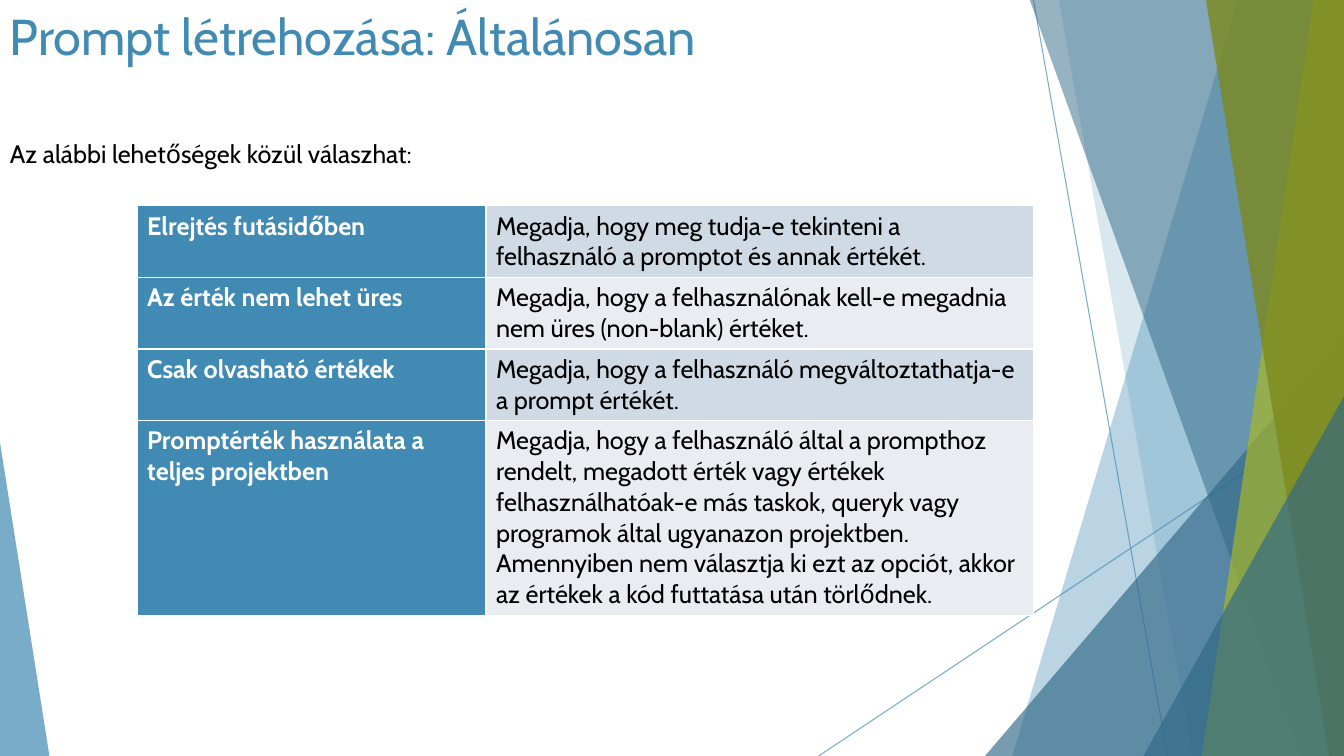
from dataclasses import dataclass

import lxml.etree
import pptx
import pptx.dml.color
import pptx.enum.shapes
import pptx.enum.text
import pptx.oxml.ns
import pptx.util

Inches = pptx.util.Inches
Pt = pptx.util.Pt
qn = pptx.oxml.ns.qn

WIDTH, HEIGHT = 13.33, 7.5
TOP = -0.01
HUES = {
    "blue": "418AB3", "navy": "316886", "lime": "A6B727", "olive": "7D891D",
    "dark": "CFDAE5", "pale": "E9EDF2", "white": "FFFFFF", "black": "000000",
}


@dataclass
class Ray:
    start: tuple[float, float]
    end: tuple[float, float]
    hue: str
    alpha: int


@dataclass
class Band:
    top: float
    base: float
    hue: str
    alpha: int


@dataclass
class Wedge:
    left: float
    top: float
    width: float
    peak: float
    hue: str
    alpha: int


@dataclass
class Label:
    text: str
    box: tuple[float, float, float, float]
    size: int
    hue: str
    before: int


@dataclass
class Row:
    name: str
    note: str
    height: float


DECOR = [
    Ray((10.25, 0), (11.58, HEIGHT), "blue", 70),
    Ray((WIDTH, 4.03), (8.12, HEIGHT), "blue", 70),
    Band(12.28, 10.04, "blue", 36),
    Band(10.5, 11.83, "blue", 20),
    Wedge(9.77, 3.33, 3.56, 1, "navy", 66),
    Band(10.21, 12.91, "navy", 50),
    Band(13.03, 11.92, "lime", 70),
    Band(11.96, 13.18, "olive", 80),
    Wedge(11.34, 3.93, 1.99, 1, "navy", 66),
    Wedge(0, 4.39, 0.49, 0, "blue", 70),
]
LABELS = [
    Label("Prompt létrehozása: Általánosan", (0, 0, 9.4, 1.44), 36, "blue", 0),
    Label("Az alábbi lehetőségek közül válaszhat:", (0, 1.32, 10.96, 0.59), 18, "black", 10),
]
ROWS = [
    Row("Elrejtés futásidőben",
        "Megadja, hogy meg tudja-e tekinteni a felhasználó a promptot és annak értékét.", 0.71),
    Row("Az érték nem lehet üres",
        "Megadja, hogy a felhasználónak kell-e megadnia nem üres (non-blank) értéket.", 0.71),
    Row("Csak olvasható értékek",
        "Megadja, hogy a felhasználó megváltoztathatja-e a prompt értékét.", 0.71),
    Row("Promptérték használata a teljes projektben",
        "Megadja, hogy a felhasználó által a prompthoz rendelt, megadott érték vagy értékek "
        "felhasználhatóak-e más taskok, queryk vagy programok által ugyanazon projektben. "
        "Amennyiben nem választja ki ezt az opciót, akkor az értékek a kód futtatása után "
        "törlődnek.", 1.92),
]
COLS = (3.46, 5.43)
FRAME = {
    "word_wrap": True,
    "auto_size": pptx.enum.text.MSO_AUTO_SIZE.NONE,
    "vertical_anchor": pptx.enum.text.MSO_ANCHOR.TOP,
}
GRID = {"first_row": False, "horz_banding": False}


def apply(item, values: dict) -> None:
    for key, value in values.items():
        setattr(item, key, value)


def shade(hue: str) -> pptx.dml.color.RGBColor:
    return pptx.dml.color.RGBColor.from_string(HUES[hue])


def fade(shape, alpha: int) -> None:
    for node in shape.element.iter(qn("a:srgbClr")):
        lxml.etree.SubElement(node, qn("a:alpha"), val=str(alpha * 1000))


def paint(shape, hue: str, alpha: int) -> None:
    shape.shadow.inherit = False
    shape.fill.solid()
    shape.fill.fore_color.rgb = shade(hue)
    shape.line.fill.background()
    fade(shape, alpha)


def draw_ray(slide, ray: Ray) -> None:
    ends = [Inches(n) for n in ray.start + ray.end]
    line = slide.shapes.add_connector(pptx.enum.shapes.MSO_CONNECTOR.STRAIGHT, *ends)
    line.line.color.rgb = shade(ray.hue)
    line.line.width = Pt(0.75)
    lxml.etree.SubElement(line.element.spPr, qn("a:effectLst"))
    fade(line, ray.alpha)


def draw_band(slide, band: Band) -> None:
    spots = [(band.top, TOP), (WIDTH, TOP), (WIDTH, HEIGHT), (band.base, HEIGHT)]
    first, *rest = [(Inches(x), Inches(y)) for x, y in spots]
    pen = slide.shapes.build_freeform(*first)
    pen.add_line_segments(rest, close=True)
    paint(pen.convert_to_shape(), band.hue, band.alpha)


def draw_wedge(slide, wedge: Wedge) -> None:
    box = (wedge.left, wedge.top, wedge.width, HEIGHT - wedge.top)
    shape = slide.shapes.add_shape(
        pptx.enum.shapes.MSO_SHAPE.ISOSCELES_TRIANGLE, *map(Inches, box))
    shape.adjustments[0] = wedge.peak
    paint(shape, wedge.hue, wedge.alpha)


def write(frame, text: str, size: int, hue: str, bold: bool = False) -> None:
    run = frame.paragraphs[0].add_run()
    run.text = text
    apply(run.font, {"name": "Cabin", "size": Pt(size), "bold": bold})
    run.font.color.rgb = shade(hue)


def draw_label(slide, label: Label) -> None:
    frame = slide.shapes.add_textbox(*map(Inches, label.box)).text_frame
    apply(frame, FRAME)
    frame.paragraphs[0].space_before = Pt(label.before)
    write(frame, label.text, label.size, label.hue)


def edge(cell) -> None:
    props = cell._tc.get_or_add_tcPr()
    for side in ("lnL", "lnR", "lnT", "lnB"):
        line = lxml.etree.SubElement(props, qn(f"a:{side}"), w=str(Pt(1)))
        fill = lxml.etree.SubElement(line, qn("a:solidFill"))
        lxml.etree.SubElement(fill, qn("a:srgbClr"), val=HUES["white"])


def draw_table(slide, rows: list[Row]) -> None:
    box = (1.36, 2.04, sum(COLS), sum(row.height for row in rows))
    table = slide.shapes.add_table(len(rows), len(COLS), *map(Inches, box)).table
    apply(table, GRID)
    for col, width in zip(table.columns, COLS):
        col.width = Inches(width)
    for i, row in enumerate(rows):
        table.rows[i].height = Inches(row.height)
        looks = [(row.name, "blue", "white", True),
                 (row.note, ("dark", "pale")[i % 2], "black", False)]
        for j, (text, back, ink, bold) in enumerate(looks):
            cell = table.cell(i, j)
            edge(cell)
            cell.fill.solid()
            cell.fill.fore_color.rgb = shade(back)
            write(cell.text_frame, text, 18, ink, bold)


def main() -> None:
    deck = pptx.Presentation()
    apply(deck, {"slide_width": Inches(WIDTH), "slide_height": Inches(HEIGHT)})
    slide = deck.slides.add_slide(deck.slide_layouts[6])
    tools = {Ray: draw_ray, Band: draw_band, Wedge: draw_wedge}
    for part in DECOR:
        tools[type(part)](slide, part)
    for label in LABELS:
        draw_label(slide, label)
    draw_table(slide, ROWS)
    deck.save("out.pptx")


if __name__ == "__main__":
    main()
